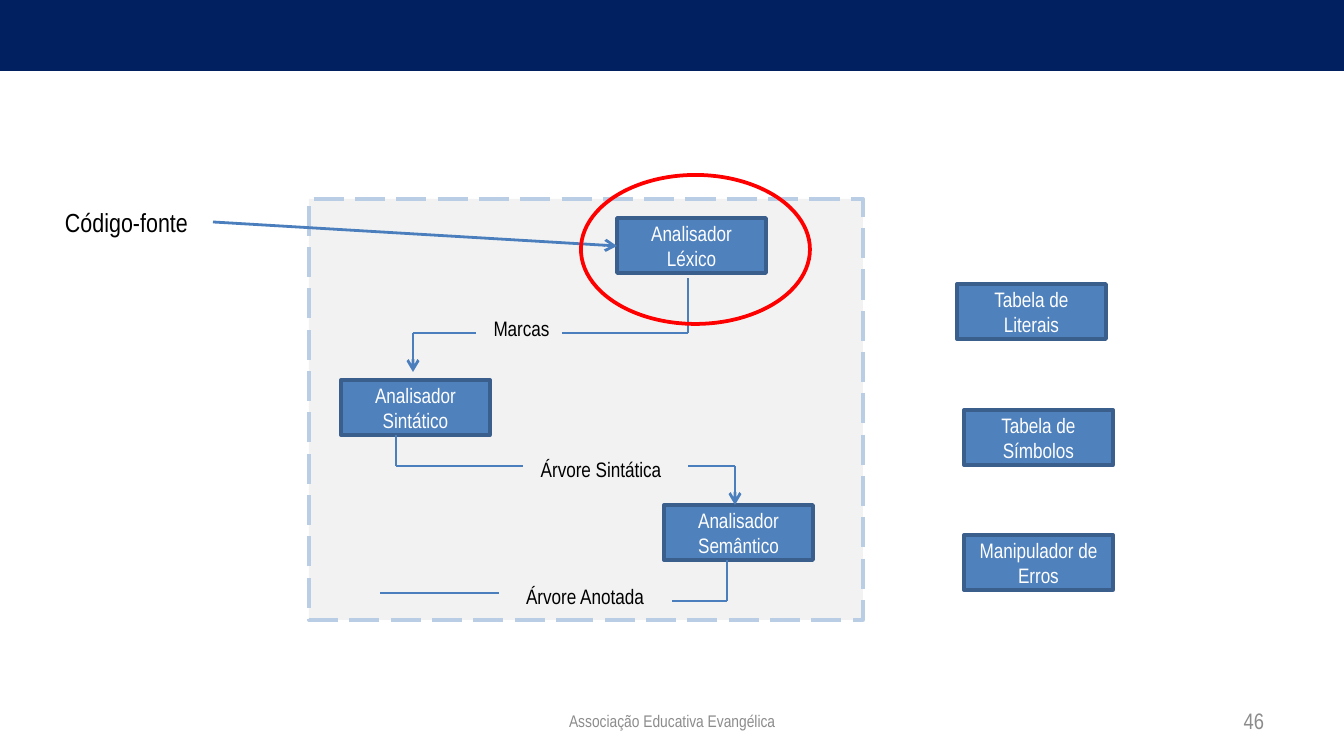
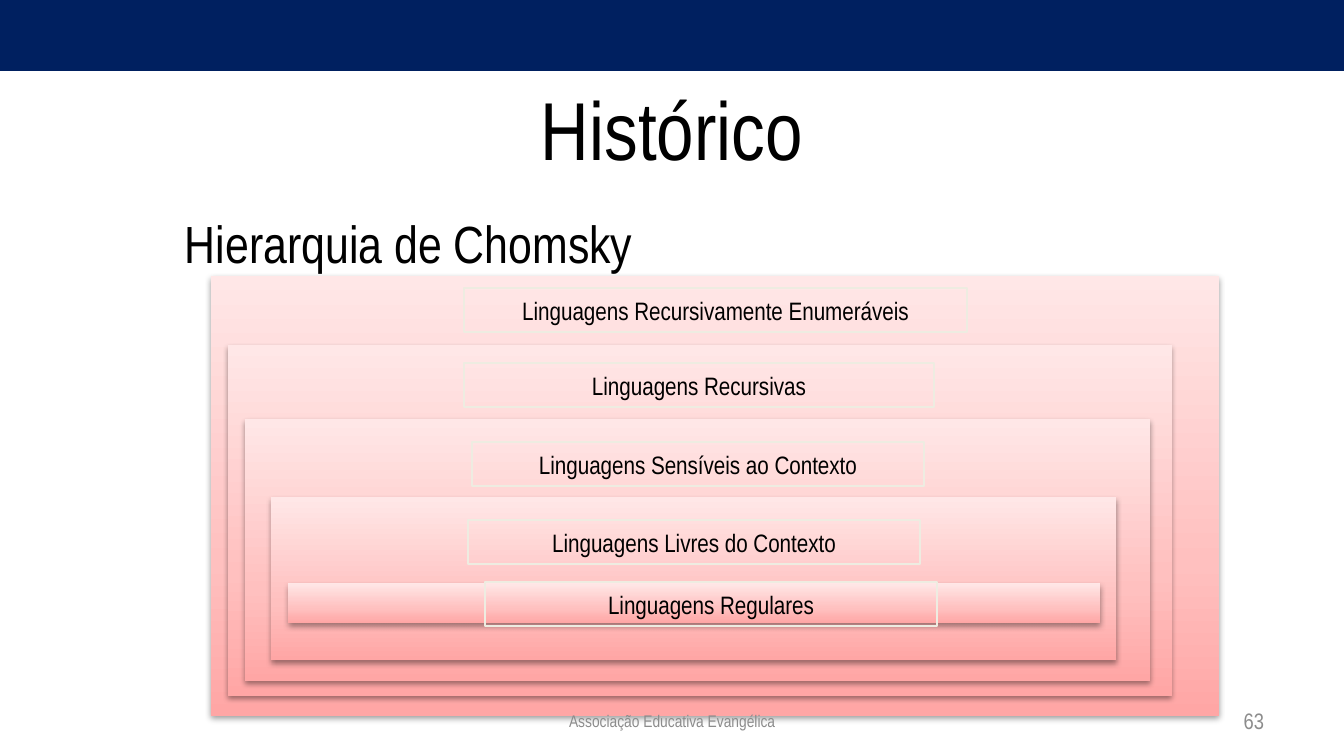
import copy

import pptx
import pptx.dml.color
import pptx.enum.dml
import pptx.enum.shapes
import pptx.enum.text
import pptx.oxml.ns
import pptx.util
from lxml import etree

SCALE = 914400 / 134.4
FONT = "Arial Narrow"
NAVY, BLUE, EDGE, WIRE = "002060", "4F81BD", "3A5F8C", "4B7EBC"
BLACK, WHITE, GRAY, RED = "000000", "FFFFFF", "8C8C8C", "FF0000"
PANEL, DASH, CREAM = "F2F2F2", "B9CDE5", "EEECE1"
PINKS = [(0, "FFA6A5"), (0.35, "FFC0BF"), (1, "FFE7E7")]
FOOTER = "Associação Educativa Evangélica"

KIND = pptx.enum.shapes.MSO_SHAPE
ALIGN = pptx.enum.text.PP_ALIGN
ANCHOR = pptx.enum.text.MSO_ANCHOR
NODE_SIZE = (149, 55)


def px(size):
    return round(size * SCALE)


def tint(code):
    return pptx.dml.color.RGBColor.from_string(code)


def tag(name):
    return pptx.oxml.ns.qn("a:" + name)


def write(shape, text, size, color=BLACK, align=ALIGN.CENTER, anchor=ANCHOR.MIDDLE, top=0):
    frame = shape.text_frame
    frame.word_wrap = True
    frame.margin_left = frame.margin_right = px(13)
    frame.margin_top = px(top)
    frame.margin_bottom = 0
    frame.vertical_anchor = anchor
    para = frame.paragraphs[0]
    para.text = text
    para.alignment = align
    para.font.name = FONT
    para.font.size = pptx.util.Pt(size)
    para.font.color.rgb = tint(color)


def label(slide, box, text, size, **style):
    write(slide.shapes.add_textbox(*map(px, box)), text, size, **style)


def block(slide, box, fill=None, line=None, width=2, kind=KIND.RECTANGLE):
    shape = slide.shapes.add_shape(kind, *map(px, box))
    shape.shadow.inherit = False
    if fill:
        shape.fill.solid()
        shape.fill.fore_color.rgb = tint(fill)
    else:
        shape.fill.background()
    if line:
        shape.line.color.rgb = tint(line)
        shape.line.width = pptx.util.Pt(width)
    else:
        shape.line.fill.background()
    return shape


def node(slide, left, top, text):
    write(block(slide, (left, top, *NODE_SIZE), BLUE, EDGE), text, 11.2, color=WHITE)


def wire(slide, points, arrow=False):
    line = slide.shapes.add_connector(
        pptx.enum.shapes.MSO_CONNECTOR.STRAIGHT, *map(px, points))
    line.line.color.rgb = tint(WIRE)
    line.line.width = pptx.util.Pt(1.5 if arrow else 0.75)
    props = line._element.spPr
    if arrow:
        etree.SubElement(props.find(tag("ln")), tag("tailEnd"), type="arrow")
    etree.SubElement(props, tag("effectLst"))


def layer(slide, box):
    shape = block(slide, box)
    shape.fill.gradient()
    shape.fill.gradient_angle = 90
    props = shape._element.spPr
    stops = props.find(".//" + tag("gsLst"))
    stops.append(copy.deepcopy(stops[0]))
    for stop, (place, color) in zip(shape.fill.gradient_stops, PINKS):
        stop.position = place
        stop.color.rgb = tint(color)
    shade = etree.SubElement(
        props.find(tag("effectLst")), tag("outerShdw"),
        blurRad=str(pptx.util.Pt(3.1)), dist=str(pptx.util.Pt(1.6)),
        dir="5400000", rotWithShape="0")
    color = etree.SubElement(shade, tag("srgbClr"), val=BLACK)
    etree.SubElement(color, tag("alpha"), val="38000")


def start(deck):
    slide = deck.slides.add_slide(deck.slide_layouts[6])
    block(slide, (0, 0, 1344, 71), NAVY)
    return slide


def finish(slide, number):
    label(slide, (964, 701, 313, 40), number, 12, color=GRAY, align=ALIGN.RIGHT)
    label(slide, (459, 701, 426, 40), FOOTER, 9, color=GRAY)


def phases(deck):
    slide = start(deck)
    panel = block(slide, (309, 199, 554, 421), PANEL, DASH)
    panel.line.dash_style = pptx.enum.dml.MSO_LINE.LONG_DASH
    for left, top, text in [
        (617, 218, "Analisador Léxico"),
        (341, 380, "Analisador Sintático"),
        (664, 505, "Analisador Semântico"),
        (957, 284, "Tabela de Literais"),
        (964, 410, "Tabela de Símbolos"),
        (964, 535, "Manipulador de Erros"),
    ]:
        node(slide, left, top, text)
    label(slide, (40, 199, 173, 46), "Código-fonte", 14)
    for left, top, width, text in [
        (435, 309, 173, "Marcas"),
        (499, 450, 204, "Árvore Sintática"),
        (483, 577, 204, "Árvore Anotada"),
    ]:
        label(slide, (left, top, width, 39), text, 11.2)
    for points in [
        (213, 222, 617, 246),
        (413, 333, 413, 372),
        (735, 466, 735, 505),
    ]:
        wire(slide, points, arrow=True)
    for points in [
        (562, 333, 688, 333),
        (688, 333, 688, 278),
        (413, 333, 476, 333),
        (396, 466, 523, 466),
        (396, 466, 396, 435),
        (688, 466, 735, 466),
        (672, 601, 727, 601),
        (727, 601, 727, 560),
        (380, 593, 499, 593),
    ]:
        wire(slide, points)
    finish(slide, "46")
    block(slide, (581, 175, 229, 149), line=RED, kind=KIND.OVAL)


def chomsky(deck):
    slide = start(deck)
    label(slide, (67, 71, 1210, 113), "Histórico", 44)
    label(slide, (172, 202, 1079, 540), "Hierarquia de Chomsky", 28,
          align=ALIGN.LEFT, anchor=ANCHOR.TOP, top=9)
    for box, (left, top, width), text in [
        ((211, 276, 1008, 440), (464, 288, 503), "Linguagens Recursivamente Enumeráveis"),
        ((228, 345, 944, 351), (464, 363, 470), "Linguagens Recursivas"),
        ((245, 419, 905, 262), (472, 442, 452), "Linguagens Sensíveis ao Contexto"),
        ((271, 497, 845, 163), (468, 520, 452), "Linguagens Livres do Contexto"),
        ((288, 583, 812, 40), (485, 582, 452), "Linguagens Regulares"),
    ]:
        layer(slide, box)
        frame = block(slide, (left, top, width, 44), line=CREAM, width=0.75)
        write(frame, text, 13.5)
    finish(slide, "63")


def main():
    deck = pptx.Presentation()
    deck.slide_width = px(1344)
    deck.slide_height = px(756)
    phases(deck)
    chomsky(deck)
    deck.save("out.pptx")


if __name__ == "__main__":
    main()
